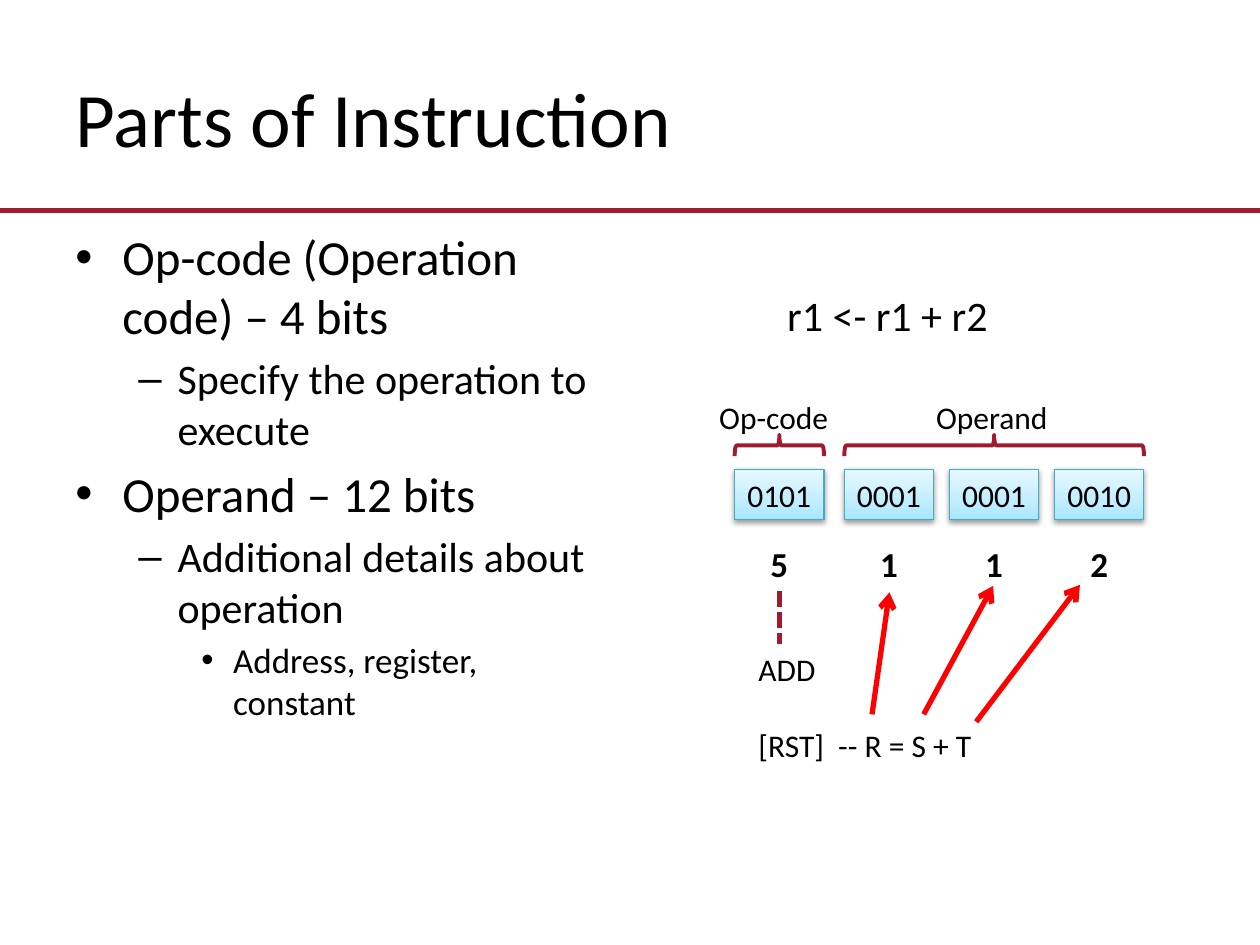
from copy import deepcopy

from lxml import etree
from pptx import Presentation
from pptx import util as u
from pptx.dml.color import RGBColor
from pptx.enum import dml, shapes, text
from pptx.oxml.ns import qn

BLACK = RGBColor(0x00, 0x00, 0x00)
CRIMSON = RGBColor(0xA2, 0x1A, 0x2D)
RED = RGBColor(0xFF, 0x00, 0x00)
TEAL = RGBColor(0x46, 0xAA, 0xC5)
SKY = ((0, RGBColor(0xA7, 0xE6, 0xFF)),
       (0.35, RGBColor(0xC1, 0xED, 0xFF)),
       (1, RGBColor(0xE7, 0xF8, 0xFF)))
LEVELS = (("•", 0.95, 0.95, 28), ("–", 2.06, 0.79, 24), ("•", 3.18, 0.64, 20))


def cm(*lengths):
    return [u.Cm(length) for length in lengths]


class Painter:
    font = "Calibri"

    def __init__(self, page):
        self.page = page

    def style(self, para, size, bold=False, align=text.PP_ALIGN.LEFT):
        para.font.name = self.font
        para.font.size = u.Pt(size)
        para.font.bold = bold
        para.font.color.rgb = BLACK
        para.alignment = align

    def title(self, words, *place):
        box = self.page.shapes.title
        box.left, box.top, box.width, box.height = cm(*place)
        box.text_frame.text = words
        box.text_frame.vertical_anchor = text.MSO_ANCHOR.MIDDLE
        self.style(box.text_frame.paragraphs[0], 44)

    def label(self, words, *place, size=18, wrap=False, **style):
        box = self.page.shapes.add_textbox(*cm(*place))
        box.text_frame.word_wrap = wrap
        box.text_frame.text = words
        for para in box.text_frame.paragraphs:
            self.style(para, size, **style)
        return box.text_frame

    def bullets(self, items, *place):
        words = "\n".join(item for _, item in items)
        frame = self.label(words, *place, wrap=True)
        for para, (level, _) in zip(frame.paragraphs, items):
            mark, margin, hanging, size = LEVELS[level]
            para.level = level
            para.font.size = u.Pt(size)
            para.space_before = u.Pt(size * 0.2)
            props = para._p.get_or_add_pPr()
            props.set("marL", str(u.Cm(margin)))
            props.set("indent", str(-u.Cm(hanging)))
            etree.SubElement(props, qn("a:buFont"), typeface="Arial")
            etree.SubElement(props, qn("a:buChar"), char=mark)

    def field(self, bits, *place):
        box = self.page.shapes.add_shape(shapes.MSO_SHAPE.RECTANGLE, *cm(*place))
        box.fill.gradient()
        box.fill.gradient_angle = 90
        first = box.fill._xPr.find(".//" + qn("a:gs"))
        first.addnext(deepcopy(first))
        for stop, (position, color) in zip(box.fill.gradient_stops, SKY):
            stop.position = position
            stop.color.rgb = color
        box.line.color.rgb = TEAL
        box.line.width = u.Pt(0.75)
        box.shadow.inherit = False
        effects = box._element.spPr.find(qn("a:effectLst"))
        shadow = etree.SubElement(effects, qn("a:outerShdw"), blurRad="40000",
                                  dist="20000", dir="5400000", rotWithShape="0")
        tint = etree.SubElement(shadow, qn("a:srgbClr"), val=str(BLACK))
        etree.SubElement(tint, qn("a:alpha"), val="38000")
        frame = box.text_frame
        frame.text = bits
        frame.word_wrap = False
        frame.vertical_anchor = text.MSO_ANCHOR.MIDDLE
        self.style(frame.paragraphs[0], 18, align=text.PP_ALIGN.CENTER)

    def brace(self, left, right, middle, depth=0.43):
        span = right - left
        place = ((left + right - depth) / 2, middle - span / 2, depth, span)
        brace = self.page.shapes.add_shape(shapes.MSO_SHAPE.LEFT_BRACE, *cm(*place))
        brace.rotation = 90
        brace.fill.background()
        brace.line.color.rgb = CRIMSON
        brace.line.width = u.Pt(2.25)
        brace.shadow.inherit = False

    def line(self, *ends, color=CRIMSON, dash=None, arrow=False):
        line = self.page.shapes.add_connector(shapes.MSO_CONNECTOR.STRAIGHT, *cm(*ends))
        line.line.color.rgb = color
        line.line.width = u.Pt(3)
        if dash:
            line.line.dash_style = dash
        if arrow:
            etree.SubElement(line.line._get_or_add_ln(), qn("a:tailEnd"), type="arrow")
        etree.SubElement(line._element.spPr, qn("a:effectLst"))


def main():
    deck = Presentation()
    deck.slide_width, deck.slide_height = cm(25.4, 19.05)
    painter = Painter(deck.slides.add_slide(deck.slide_layouts[5]))

    painter.line(0, 4.24, 25.4, 4.24)
    painter.title("Parts of Instruction", 1.27, 0.76, 22.86, 3.18)
    painter.bullets([
        (0, "Op-code (Operation code) – 4 bits"),
        (1, "Specify the operation to execute"),
        (0, "Operand – 12 bits"),
        (1, "Additional details about operation"),
        (2, "Address, register, constant"),
    ], 1.27, 4.45, 11.23, 12.57)

    width, operand_left, pitch = 1.8, 17.02, 2.12
    lefts = [14.81] + [operand_left + pitch * i for i in range(3)]
    for left, bits in zip(lefts, ("0101", "0001", "0001", "0010")):
        painter.field(bits, left, 9.46, width, 1.02)
        painter.label(str(int(bits, 2)), left, 10.81, width, 1.12,
                      size=20, bold=True, align=text.PP_ALIGN.CENTER)

    painter.brace(lefts[0], lefts[0] + width, 8.98)
    painter.brace(lefts[1], lefts[-1] + width, 8.98)
    painter.label("Op-code", 14.25, 7.9, 2.74, 1.02)
    painter.label("Operand", 18.62, 7.9, 2.79, 1.02)
    painter.label("r1 <- r1 + r2", 15.62, 5.72, 4.6, 1.27, size=24)
    meaning = painter.label("ADD\n[RST]  -- R = S + T", 15.04, 12.98, 4.85, 2.57)
    meaning.paragraphs[1].space_before = u.Pt(22)

    painter.line(15.72, 11.91, 15.72, 12.98, dash=dml.MSO_LINE.SQUARE_DOT)
    for ends in ((17.58, 14.4, 17.93, 11.94),
                 (18.62, 14.4, 20.02, 11.81),
                 (19.68, 14.55, 21.77, 11.79)):
        painter.line(*ends, color=RED, arrow=True)

    deck.save("out.pptx")


if __name__ == "__main__":
    main()
